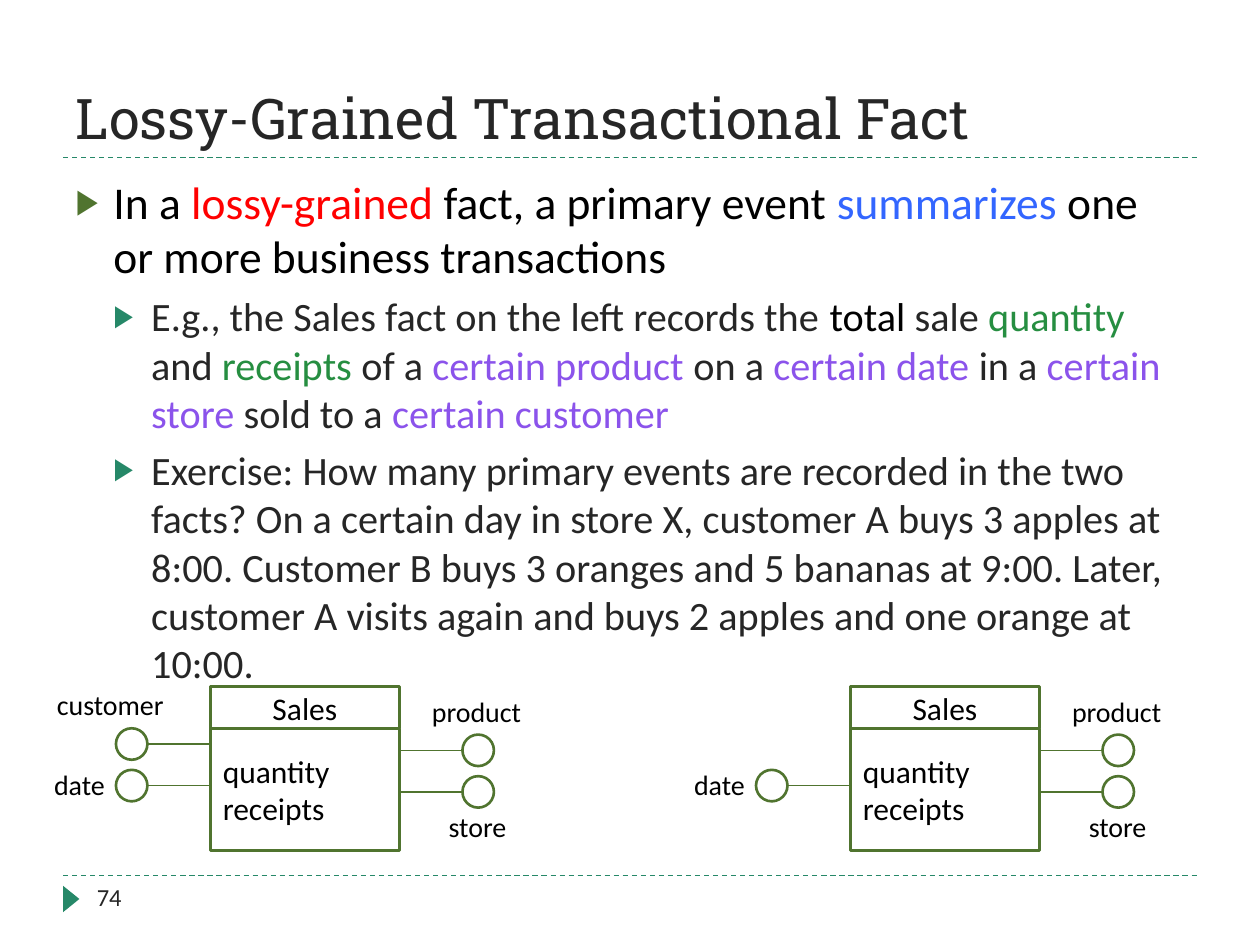
from dataclasses import dataclass

from lxml import etree
from pptx import Presentation
from pptx.dml.color import RGBColor
from pptx.enum import dml, shapes, text
from pptx.oxml import ns
from pptx.util import Inches, Pt

BLACK = RGBColor(0x00, 0x00, 0x00)
WHITE = RGBColor(0xFF, 0xFF, 0xFF)
DARK = RGBColor(0x26, 0x26, 0x26)
TEAL = RGBColor(0x26, 0x88, 0x68)
OLIVE = RGBColor(0x50, 0x74, 0x2F)
RED = RGBColor(0xFF, 0x00, 0x00)
BLUE = RGBColor(0x33, 0x66, 0xFF)
GREEN = RGBColor(0x26, 0x8E, 0x41)
PURPLE = RGBColor(0x8B, 0x53, 0xEB)

BODY_FONT = "Calibri"
TITLE_FONT = "Roboto Slab"
LEFT, CENTER = text.PP_ALIGN.LEFT, text.PP_ALIGN.CENTER
TOP, MIDDLE = text.MSO_ANCHOR.TOP, text.MSO_ANCHOR.MIDDLE

BOX_WIDTH = 1.5
CIRCLE = 0.25
ARM = 0.5


@dataclass
class Bullet:
    level: int
    size: float
    space_before: float
    color: RGBColor
    runs: list[tuple[str, RGBColor]]


@dataclass
class Dimension:
    """A circle joined to a fact box; the label is placed relative to the box's left edge."""
    name: str
    on_left: bool
    circle_top: float
    label_left: float
    label_top: float
    label_width: float = 0.92
    align: text.PP_ALIGN = CENTER


@dataclass
class Fact:
    left: float
    dimensions: list[Dimension]


BULLETS = [
    Bullet(0, 26, 0, OLIVE, [
        ("In a ", BLACK), ("lossy-grained ", RED), ("fact, a primary event ", BLACK),
        ("summarizes", BLUE), (" one or more business transactions", BLACK)]),
    Bullet(1, 23, 5, TEAL, [
        ("E.g., the Sales fact on the left records the ", DARK), ("total", BLACK),
        (" sale ", DARK), ("quantity", GREEN), (" and ", DARK), ("receipts", GREEN),
        (" of a ", DARK), ("certain product ", PURPLE), ("on a ", DARK),
        ("certain date ", PURPLE), ("in a ", DARK), ("certain store", PURPLE),
        (" sold to a ", DARK), ("certain customer", PURPLE)]),
    Bullet(1, 23, 5, TEAL, [
        ("Exercise: How many primary events are recorded in the two facts? "
         "On a certain day in store X, customer A buys 3 apples at 8:00. "
         "Customer B buys 3 oranges and 5 bananas at 9:00. Later, customer A "
         "visits again and buys 2 apples and one orange at 10:00.", DARK)]),
]

SHARED_DIMENSIONS = [
    Dimension("product", False, 5.83, 1.66, 5.46, align=LEFT),
    Dimension("store", False, 6.16, 1.66, 6.38),
    Dimension("date", True, 6.11, -1.5, 6.04),
]
CUSTOMER = Dimension("customer", True, 5.78, -1.42, 5.41, label_width=1.25)
FACTS = [Fact(1.67, SHARED_DIMENSIONS + [CUSTOMER]), Fact(6.75, SHARED_DIMENSIONS)]


def place(shape, left: float, top: float, width: float, height: float) -> None:
    shape.left, shape.top = Inches(left), Inches(top)
    shape.width, shape.height = Inches(width), Inches(height)


def write(shape, content: str, *, size: float, font: str = BODY_FONT,
          color: RGBColor = BLACK, align=LEFT, anchor=TOP) -> None:
    frame = shape.text_frame
    frame.text = content
    frame.word_wrap = True
    frame.auto_size = text.MSO_AUTO_SIZE.NONE
    frame.vertical_anchor = anchor
    for paragraph in frame.paragraphs:
        paragraph.alignment = align
        for run in paragraph.runs:
            run.font.name, run.font.size = font, Pt(size)
            run.font.color.rgb = color


def add_label(slide, content: str, left: float, top: float, width: float,
              height: float, **style) -> None:
    write(slide.shapes.add_textbox(Inches(left), Inches(top), Inches(width),
                                   Inches(height)), content, **style)


def add_outlined(slide, kind, left: float, top: float, width: float, height: float):
    shape = slide.shapes.add_shape(kind, Inches(left), Inches(top), Inches(width),
                                   Inches(height))
    shape.shadow.inherit = False
    shape.fill.solid()
    shape.fill.fore_color.rgb = WHITE
    shape.line.color.rgb = OLIVE
    shape.line.width = Pt(1.5)
    return shape


def add_line(slide, start: float, end: float, y: float, color: RGBColor,
             dashed: bool = False) -> None:
    line = slide.shapes.add_connector(shapes.MSO_CONNECTOR.STRAIGHT, Inches(start),
                                      Inches(y), Inches(end), Inches(y))
    line.line.color.rgb = color
    line.line.width = Pt(0.75)
    if dashed:
        line.line.dash_style = dml.MSO_LINE.DASH
    etree.SubElement(line._element.spPr, ns.qn("a:effectLst"))


def add_bullet_mark(paragraph, bullet: Bullet) -> None:
    properties = paragraph._p.get_or_add_pPr()
    properties.set("marL", str(Inches(0.3 * (bullet.level + 1))))
    properties.set("indent", str(Inches(-0.3)))
    color = etree.SubElement(properties, ns.qn("a:buClr"))
    etree.SubElement(color, ns.qn("a:srgbClr"), val=str(bullet.color))
    etree.SubElement(properties, ns.qn("a:buSzPct"), val="76000")
    etree.SubElement(properties, ns.qn("a:buChar"), char="▶")


def fill_body(body) -> None:
    frame = body.text_frame
    frame.word_wrap = True
    frame.auto_size = text.MSO_AUTO_SIZE.NONE
    for index, bullet in enumerate(BULLETS):
        paragraph = frame.add_paragraph() if index else frame.paragraphs[0]
        paragraph.level = bullet.level
        add_bullet_mark(paragraph, bullet)
        paragraph.space_before = Pt(bullet.space_before)
        for content, color in bullet.runs:
            run = paragraph.add_run()
            run.text = content
            run.font.name, run.font.size = BODY_FONT, Pt(bullet.size)
            run.font.color.rgb = color


def draw_fact(slide, fact: Fact) -> None:
    rectangle = shapes.MSO_SHAPE.RECTANGLE
    header = add_outlined(slide, rectangle, fact.left, 5.45, BOX_WIDTH, 0.33)
    write(header, "Sales", size=18, align=CENTER, anchor=MIDDLE)
    measures = add_outlined(slide, rectangle, fact.left, 5.78, BOX_WIDTH, 0.97)
    write(measures, "quantity\nreceipts", size=18, anchor=MIDDLE)
    for dimension in fact.dimensions:
        if dimension.on_left:
            line_start = fact.left - ARM
            circle_left = line_start - CIRCLE
        else:
            line_start = fact.left + BOX_WIDTH
            circle_left = line_start + ARM
        add_outlined(slide, shapes.MSO_SHAPE.OVAL, circle_left, dimension.circle_top,
                     CIRCLE, CIRCLE)
        add_line(slide, line_start, line_start + ARM,
                 dimension.circle_top + CIRCLE / 2, OLIVE)
        add_label(slide, dimension.name, fact.left + dimension.label_left,
                  dimension.label_top, dimension.label_width, 0.37, size=16,
                  align=dimension.align)


def main() -> None:
    presentation = Presentation()
    presentation.slide_width, presentation.slide_height = Inches(10), Inches(7.5)
    slide = presentation.slides.add_slide(presentation.slide_layouts[1])

    for y in (6.95, 1.25):
        add_line(slide, 0.5, 9.5, y, TEAL, dashed=True)
    marker = add_outlined(slide, shapes.MSO_SHAPE.ISOSCELES_TRIANGLE, 0.46, 7.07, 0.21, 0.13)
    marker.rotation = 90
    marker.fill.fore_color.rgb = TEAL
    marker.line.fill.background()
    add_label(slide, "74", 0.67, 6.95, 2.17, 0.4, size=14, color=DARK)

    title, body = slide.placeholders
    place(title, 0.5, 0.17, 9, 1.08)
    write(title, "Lossy-Grained Transactional Fact", size=32, font=TITLE_FONT,
          color=DARK, anchor=text.MSO_ANCHOR.BOTTOM)
    place(body, 0.5, 1.33, 9, 3.92)
    fill_body(body)

    for fact in FACTS:
        draw_fact(slide, fact)
    presentation.save("out.pptx")


if __name__ == "__main__":
    main()
